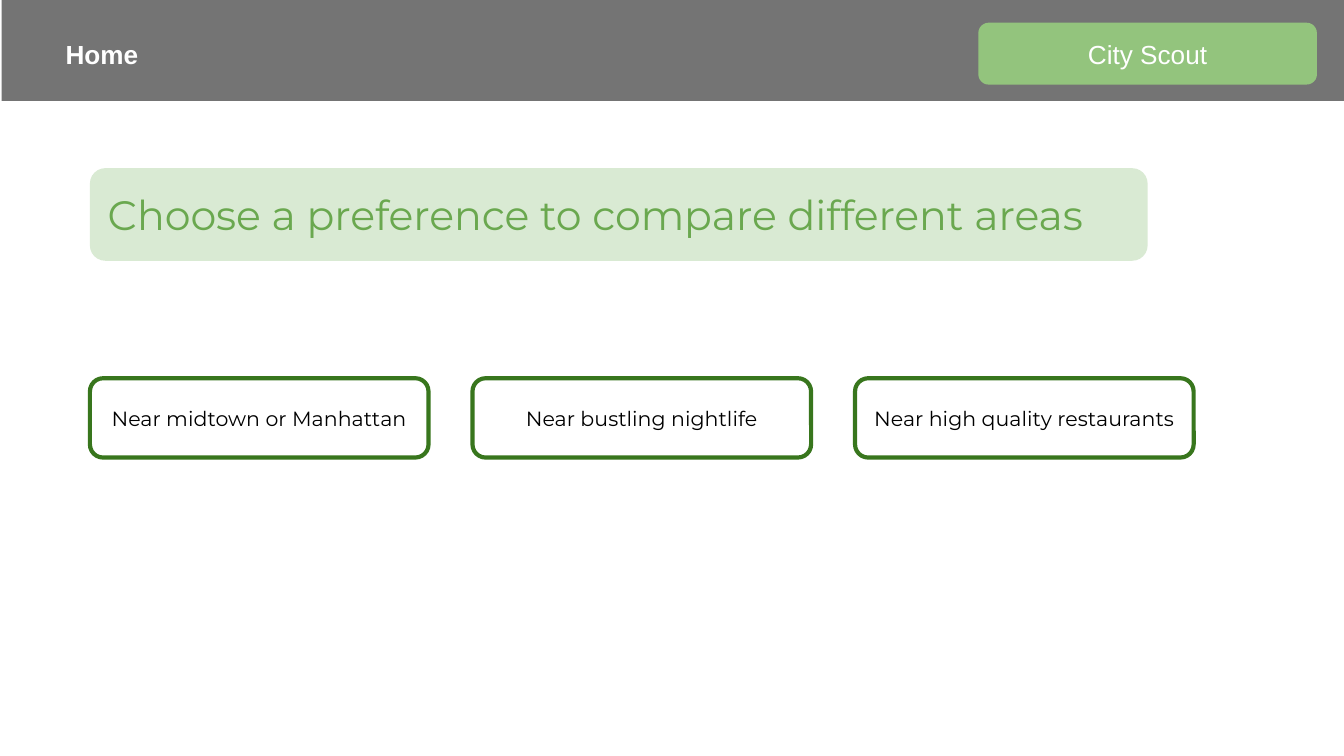
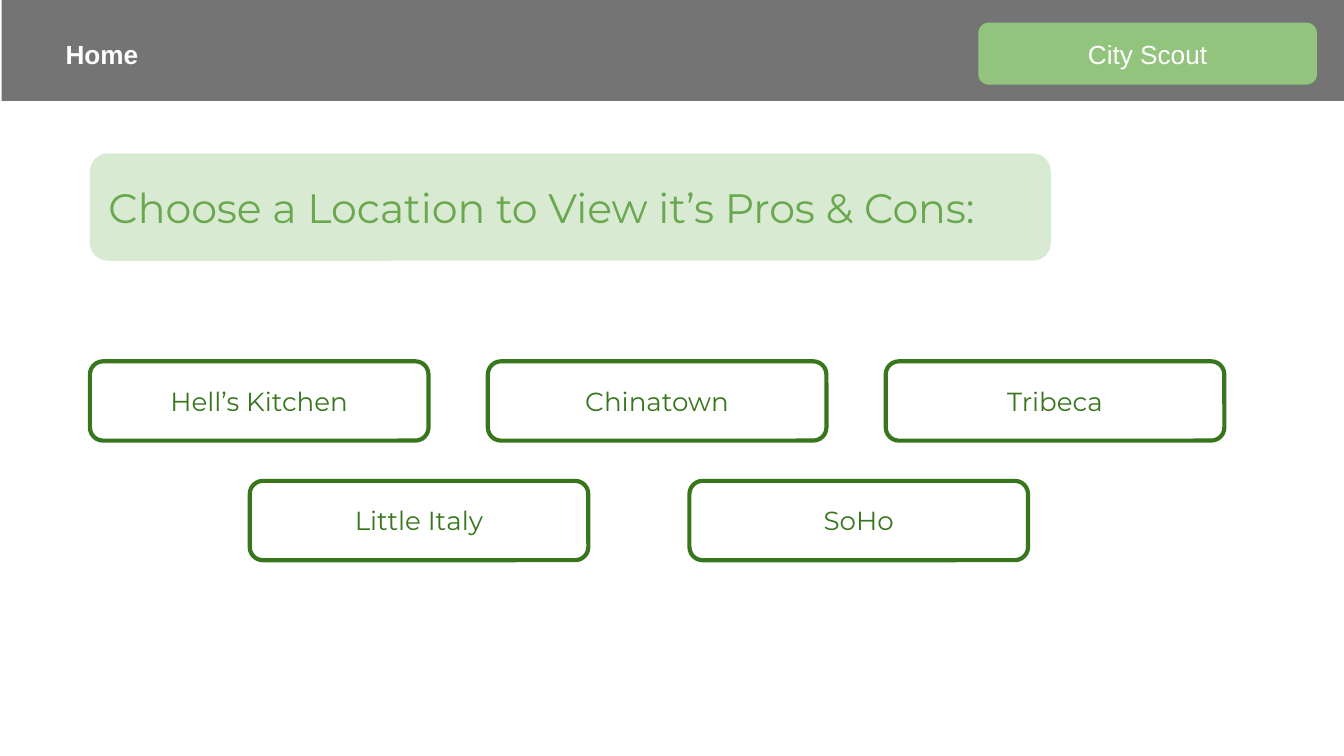
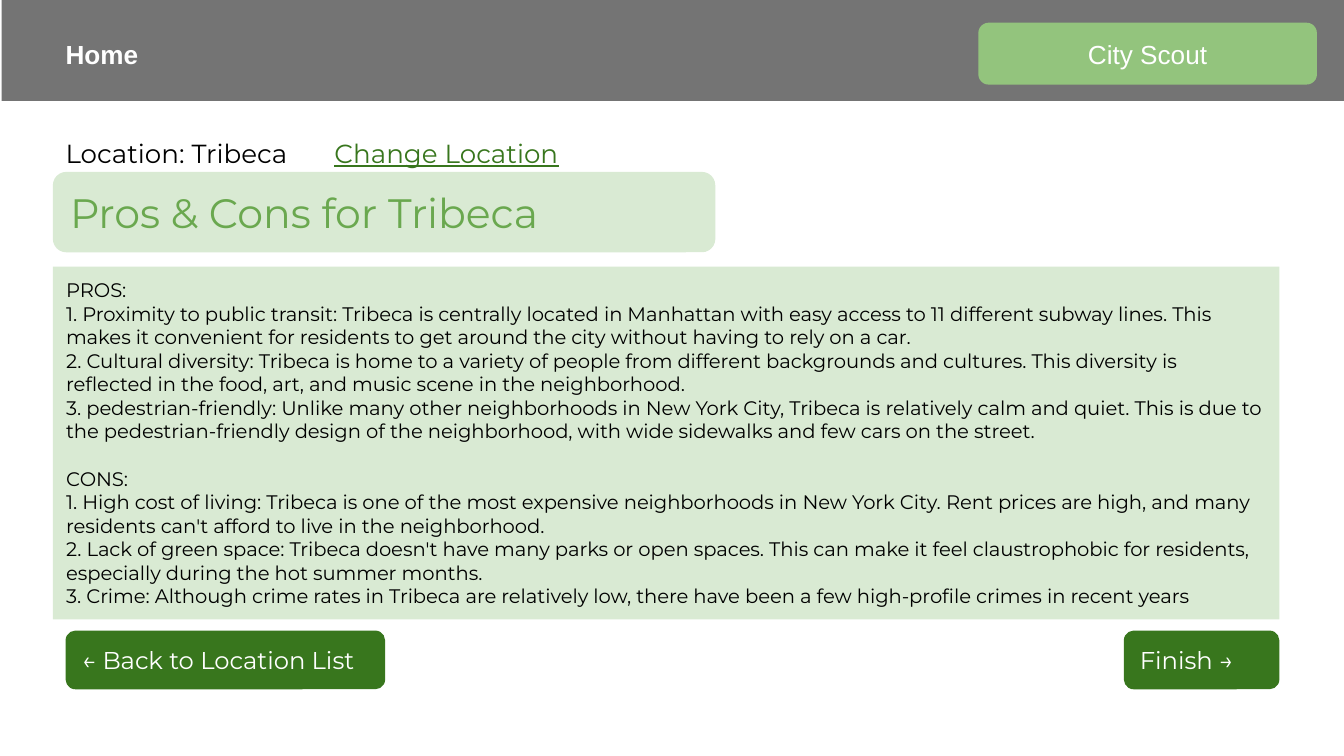
from dataclasses import dataclass
from lxml.etree import SubElement
from pptx import Presentation
from pptx.dml.color import RGBColor
from pptx.enum.shapes import MSO_SHAPE as Preset
from pptx.enum.text import MSO_ANCHOR as Anchor, MSO_AUTO_SIZE as AutoSize, PP_ALIGN as Align
from pptx.oxml.ns import qn
from pptx.util import Cm, Pt

# Content
HOME = "Home"
APP = "City Scout"

PREFERENCES = {
    "heading": "Choose a preference to compare different areas",
    "heading_at": (1.7, 3.18, 19.99, 1.75),
    # each row: left, top, pitch, labels
    "rows": [(1.7, 7.15, 7.23, ["Near midtown or Manhattan", "Near bustling nightlife",
                                "Near high quality restaurants"])],
}
LOCATIONS = {
    "heading": "Choose a Location to View it’s Pros & Cons:",
    "heading_at": (1.7, 2.9, 18.16, 2.03),
    "rows": [(1.7, 6.83, 7.52, ["Hell’s Kitchen", "Chinatown", "Tribeca"]),
             (4.72, 9.09, 8.31, ["Little Italy", "SoHo"])],
}
TRIBECA = {
    "heading": "Pros & Cons for Tribeca",
    "heading_at": (1.0, 3.25, 12.52, 1.52),
    "location": "Location: Tribeca\t",
    "change": "Change Location",
    "lists": [
        ("PROS:", [
            "1. Proximity to public transit: Tribeca is centrally located in Manhattan with easy access to 11 different subway lines. This makes it convenient for residents to get around the city without having to rely on a car.",
            "2. Cultural diversity: Tribeca is home to a variety of people from different backgrounds and cultures. This diversity is reflected in the food, art, and music scene in the neighborhood.",
            "3. pedestrian-friendly: Unlike many other neighborhoods in New York City, Tribeca is relatively calm and quiet. This is due to the pedestrian-friendly design of the neighborhood, with wide sidewalks and few cars on the street.",
        ]),
        ("CONS:", [
            "1. High cost of living: Tribeca is one of the most expensive neighborhoods in New York City. Rent prices are high, and many residents can't afford to live in the neighborhood.",
            "2. Lack of green space: Tribeca doesn't have many parks or open spaces. This can make it feel claustrophobic for residents, especially during the hot summer months.",
            "3. Crime: Although crime rates in Tribeca are relatively low, there have been a few high-profile crimes in recent years",
        ]),
    ],
    "navigation": [("← Back to Location List", (1.24, 11.92, 6.04, 1.11)),
                   ("Finish →", (21.24, 11.92, 2.94, 1.11))],
}


@dataclass(frozen=True)
class Theme:
    band: str = "595959"
    badge: str = "93C47D"
    pale: str = "D9EAD3"
    leaf: str = "6AA84F"
    forest: str = "38761D"
    white: str = "FFFFFF"
    black: str = "000000"
    body_font: str = "Montserrat"
    bar_font: str = "Arial"
    heading: float = 22
    label: float = 14
    navigation: float = 13
    preference: float = 11
    body: float = 10.5


THEME = Theme()
BUTTON = (6.4, 1.5)


def write(paragraph, text, *, size=THEME.label, color=THEME.black, font=THEME.body_font,
          bold=False, underline=False, align=Align.LEFT, before=0):
    paragraph.alignment = align
    if before:
        paragraph.space_before = Pt(before)
    run = paragraph.add_run()
    run.text = text
    run.font.name, run.font.size = font, Pt(size)
    run.font.bold, run.font.underline = bold, underline
    run.font.color.rgb = RGBColor.from_string(color)


def pad(frame):
    frame.word_wrap = True
    frame.margin_left = frame.margin_right = Cm(0.25)
    frame.margin_top = frame.margin_bottom = Cm(0.25)


def panel(slide, at, fill, preset=Preset.ROUNDED_RECTANGLE, outline=None):
    shape = slide.shapes.add_shape(preset, *map(Cm, at))
    shape.shadow.inherit = False
    shape.fill.solid()
    shape.fill.fore_color.rgb = RGBColor.from_string(fill)
    if outline:
        shape.line.color.rgb = RGBColor.from_string(outline)
        shape.line.width = Pt(2.25)
    else:
        shape.line.fill.background()
    pad(shape.text_frame)
    shape.text_frame.vertical_anchor = Anchor.MIDDLE
    return shape


def first_line(shape):
    return shape.text_frame.paragraphs[0]


def label_box(slide, at):
    box = slide.shapes.add_textbox(*map(Cm, at))
    pad(box.text_frame)
    box.text_frame.auto_size = AutoSize.SHAPE_TO_FIT_TEXT
    return box


def add_page(deck, page):
    """A blank slide with the top bar and its heading."""
    slide = deck.slides.add_slide(deck.slide_layouts[6])
    band = panel(slide, (0.03, 0, 25.37, 1.91), THEME.band, Preset.RECTANGLE)
    band_color = band._element.spPr.find(".//" + qn("a:srgbClr"))
    SubElement(band_color, qn("a:alpha"), val="83000")
    write(first_line(label_box(slide, (0.99, 0.48, 2.03, 1.11))), HOME,
          color=THEME.white, font=THEME.bar_font, bold=True)
    write(first_line(panel(slide, (18.49, 0.43, 6.4, 1.17), THEME.badge)), APP,
          color=THEME.white, font=THEME.bar_font, align=Align.CENTER)
    write(first_line(panel(slide, page["heading_at"], THEME.pale)), page["heading"],
          size=THEME.heading, color=THEME.leaf)
    return slide


def add_choices(deck, page, **label_format):
    slide = add_page(deck, page)
    for left, top, pitch, labels in page["rows"]:
        for column, label in enumerate(labels):
            button = panel(slide, (left + column * pitch, top, *BUTTON),
                           THEME.white, outline=THEME.forest)
            write(first_line(button), label, align=Align.CENTER, **label_format)


def add_review(deck, page):
    slide = add_page(deck, page)

    # Current location and the way to change it
    location = first_line(label_box(slide, (0.99, 2.34, 10.03, 1.11)))
    tabs = SubElement(location._p.get_or_add_pPr(), qn("a:tabLst"))
    SubElement(tabs, qn("a:tab"), pos=str(Cm(5.08)), algn="l")
    write(location, page["location"])
    write(location, page["change"], color=THEME.forest, underline=True)

    # Pros and cons
    review = panel(slide, (1.0, 5.04, 23.18, 6.67), THEME.pale, Preset.RECTANGLE).text_frame
    for index, (title, points) in enumerate(page["lists"]):
        opening = review.add_paragraph() if index else review.paragraphs[0]
        write(opening, title, size=THEME.body, before=12.8 * index)
        for point in points:
            write(review.add_paragraph(), point, size=THEME.body)

    # Navigation buttons
    for label, at in page["navigation"]:
        write(first_line(panel(slide, at, THEME.forest)), label,
              size=THEME.navigation, color=THEME.white)


def main():
    deck = Presentation()
    deck.slide_width, deck.slide_height = Cm(25.4), Cm(14.29)
    add_choices(deck, PREFERENCES, size=THEME.preference)
    add_choices(deck, LOCATIONS, color=THEME.forest)
    add_review(deck, TRIBECA)
    deck.save("out.pptx")


if __name__ == "__main__":
    main()
